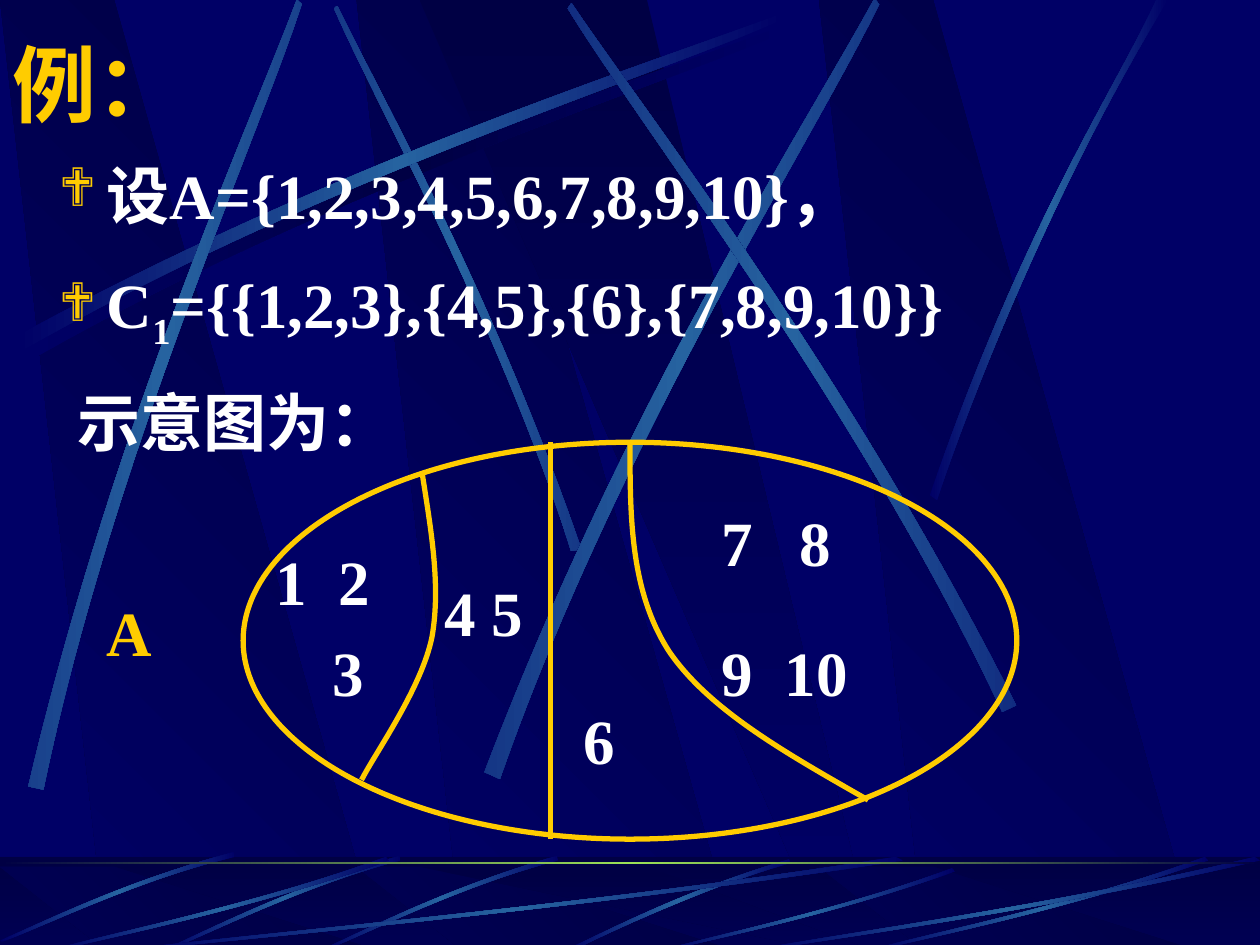
from pptx import Presentation
from pptx.dml.color import RGBColor
from pptx.enum.shapes import MSO_CONNECTOR, MSO_SHAPE
from pptx.enum.text import MSO_ANCHOR, PP_ALIGN
from pptx.oxml import parse_xml
from pptx.oxml.ns import nsdecls, qn
from pptx.util import Inches, Pt

COLORS = {"navy": "000066", "dark": "000044", "beam": "2663A0",
          "glow": "9CE157", "gold": "FFCC00", "white": "FFFFFF"}
LATIN, CHINESE, SYMBOLS = "Times New Roman", "Noto Sans CJK SC", "Wingdings"
PANEL = ("dark", "navy")
BEAM = ("navy", "beam", "navy")

# Outlines in a unit box; a streak is two Bezier curves of four points each
WIDE_PANEL = [(0.28, 1), (1, 1), (0.3, 0), (0, 0)]
THIN_PANEL = [(0, 0), (0.9, 1), (1, 1), (0.5, 0)]
STREAK = [(0, 0.96), (0.43, 0.43), (0.83, 0.15), (1, 0),
          (1, 0.02), (0.83, 0.19), (0.39, 0.5), (0.01, 1)]
SHORT_STREAK = [(0.99, 0), (0.49, 0.37), (0.16, 0.82), (0, 0.99),
                (0.03, 1), (0.23, 0.75), (0.68, 0.25), (1, 0.04)]
CUT_STREAK = [(0, 0.99), (0.4, 0.44), (0.79, 0.17), (0.95, 0),
              (1, 0), (0.52, 0.37), (0.16, 0.81), (0.03, 1)]


def color(name):
    return RGBColor.from_string(COLORS[name])


def outline(page, points, box, close=True, curves=()):
    """Draw a freeform; curves lists the first control point of each Bezier curve."""
    left, top, width, height = box
    spots = [(Inches(left + x * width), Inches(top + y * height)) for x, y in points]
    builder = page.shapes.build_freeform(*spots[0])
    builder.add_line_segments(spots[1:], close=close)
    shape = builder.convert_to_shape()
    shape.shadow.inherit = False
    segments = list(shape._element.iter(qn("a:lnTo")))
    for start in curves:
        bend = parse_xml(f'<a:cubicBezTo {nsdecls("a")}/>')
        segments[start - 1].addprevious(bend)
        for segment in segments[start - 1:start + 2]:
            bend.append(segment[0])
            segment.getparent().remove(segment)
    return shape


def paint(shape, names, angle=0, alpha=100):
    """Fill a shape with one colour or evenly spaced gradient stops, without a line."""
    shape.line.fill.background()
    shape.fill.background()
    clear = f'<a:alpha val="{alpha * 1000}"/>' if alpha < 100 else ""
    inks = [f'<a:srgbClr val="{COLORS[name]}">{clear}</a:srgbClr>' for name in names]
    if len(inks) == 1:
        xml = f'<a:solidFill {nsdecls("a")}>{inks[0]}</a:solidFill>'
    else:
        stops = "".join(f'<a:gs pos="{100000 * i // (len(inks) - 1)}">{ink}</a:gs>'
                        for i, ink in enumerate(inks))
        xml = (f'<a:gradFill {nsdecls("a")} rotWithShape="0"><a:gsLst>{stops}</a:gsLst>'
               f'<a:lin ang="{angle * 60000}" scaled="0"/></a:gradFill>')
    properties = shape._element.spPr
    properties.replace(properties.find(qn("a:noFill")), parse_xml(xml))


def band(page, box, names, angle=0, alpha=100):
    shape = page.shapes.add_shape(MSO_SHAPE.RECTANGLE, *map(Inches, box))
    shape.shadow.inherit = False
    paint(shape, names, angle, alpha)


def panels(page, top, height):
    for left in (2.83, 0, 6.5):
        paint(outline(page, WIDE_PANEL, (left, top, 3.02, height)), PANEL, 135)
    paint(outline(page, THIN_PANEL, (3.33, top, 3.61, height)), PANEL, 90)


def streak(page, box, rotation=0, flip_x=False, flip_y=False, form=STREAK, names=BEAM):
    points = [(1 - x if flip_x else x, 1 - y if flip_y else y) for x, y in form]
    shape = outline(page, points, box, curves=(1, 5))
    shape.rotation = rotation
    paint(shape, names, 180)


def sky(page):
    panels(page, 0, 7.52)
    streak(page, (0.2, 0.18, 6.08, 2.67), names=("navy", "dark", "navy"))
    streak(page, (1.41, 1.35, 4.42, 1.75), 45, flip_x=True)
    streak(page, (0.14, 0.1, 6.08, 2.67))
    streak(page, (-1.71, 1.82, 6.08, 2.67), 311.7)
    streak(page, (2.31, 1.6, 6.24, 3.01), 321.6)
    streak(page, (3.23, 1.52, 6.08, 2.67), 34.8, flip_x=True)
    streak(page, (7.38, 0, 1.89, 3.97), form=CUT_STREAK)


def floor(page, box):
    left, top, width, height = box
    band(page, box, PANEL, 90)
    panels(page, top + 0.08, height - 0.08)
    band(page, box, ("dark",), alpha=50)
    streak(page, (4.48, top + 0.02, 1.8, 0.73), form=SHORT_STREAK)
    for x, y, w, h in ((2.58, -0.04, 1.84, 0.83), (1.33, -0.04, 1.84, 0.83),
                       (0.04, -0.1, 1.8, 0.85)):
        streak(page, (x, top + y, w, h), 314.9, flip_x=True)
    for x, y, w in ((1, 0, 6.17), (0.42, 0, 2.67), (5.27, 0.09, 2.31),
                    (6.92, 0, 2.67), (6, 0, 4)):
        streak(page, (x, top + y, w, height - y), flip_x=True, flip_y=True)
    band(page, (left, top + 0.04, width, 0.02), ("dark", "glow", "dark"), 180)


def text_box(page, box, anchor=MSO_ANCHOR.TOP):
    frame = page.shapes.add_textbox(*map(Inches, box)).text_frame
    frame.word_wrap = True
    frame.vertical_anchor = anchor
    return frame


def write(frame, text, size=36, ink="white", latin=LATIN, align=PP_ALIGN.LEFT, line=1.2,
          before=0, margin=0, bullet=None, tab=None, subscript=None):
    """Add a paragraph; the subscript, if any, is the piece of text to lower."""
    first = frame.paragraphs[0]
    para = frame.add_paragraph() if first.runs else first
    para.alignment, para.line_spacing, para.space_before = align, line, Pt(before)
    properties = para._p.get_or_add_pPr()
    properties.set("marL", str(Inches(margin)))
    if bullet:
        properties.set("indent", str(-Inches(0.38)))
        for xml in (f'<a:buClr {nsdecls("a")}><a:srgbClr val="{COLORS["gold"]}"/></a:buClr>',
                    f'<a:buSzPct {nsdecls("a")} val="85000"/>',
                    f'<a:buFont {nsdecls("a")} typeface="{SYMBOLS}"/>',
                    f'<a:buChar {nsdecls("a")} char="{bullet}"/>'):
            properties.append(parse_xml(xml))
    if tab:
        properties.append(parse_xml(f'<a:tabLst {nsdecls("a")}>'
                                    f'<a:tab pos="{Inches(tab)}" algn="l"/></a:tabLst>'))
    head, low, rest = text.partition(subscript) if subscript else (text, "", "")
    for piece in filter(None, (head, low, rest)):
        span = para.add_run()
        span.text = piece
        font = span.font
        font.size, font.bold, font.name = Pt(size), True, latin
        font.color.rgb = color(ink)
        font._element.append(parse_xml(f'<a:ea {nsdecls("a")} typeface="{CHINESE}"/>'))
        if piece == low:
            font._element.set("baseline", "-25000")


def title(page, box):
    write(text_box(page, box, MSO_ANCHOR.MIDDLE), "例：", size=48, ink="gold",
          latin=CHINESE, line=1)


def statements(page, box):
    frame = text_box(page, box)
    write(frame, "设A={1,2,3,4,5,6,7,8,9,10}，", margin=0.5, bullet="❖")
    write(frame, "C1={{1,2,3},{4,5},{6},{7,8,9,10}}", margin=0.5, bullet="❖",
          before=9.5, subscript="1")
    write(frame, "示意图为：", margin=0.27, before=9.5)


def gold_line(shape):
    shape.line.color.rgb = color("gold")
    shape.line.width = Pt(3)


def partition_diagram(page, box):
    left, top, width, height = box
    oval = page.shapes.add_shape(MSO_SHAPE.OVAL, *map(Inches, box))
    oval.shadow.inherit = False
    oval.fill.background()
    gold_line(oval)

    # Borders between the classes
    borders = [
        [(1.42, 0.24), (1.49, 0.69), (1.57, 1.13), (1.5, 1.54),
         (1.42, 1.95), (1.04, 2.48), (0.94, 2.68)],
        [(3.07, 0), (3.07, 0.59), (3.07, 1.18), (3.38, 1.66),
         (3.7, 2.13), (4.33, 2.48), (4.96, 2.84)],
    ]
    for points in borders:
        border = outline(page, points, (left, top, 1, 1), close=False, curves=(1, 4))
        border.fill.background()
        gold_line(border)
    x = Inches(left + 2.44)
    divider = page.shapes.add_connector(MSO_CONNECTOR.STRAIGHT, x, Inches(top),
                                        x, Inches(top + height))
    gold_line(divider)
    divider._element.spPr.append(parse_xml(f'<a:effectLst {nsdecls("a")}/>'))

    # Members of each class, and the name of the set
    frame = text_box(page, (left + 0.16, top + 0.63, 1.34, 1.54))
    write(frame, "1\t2", tab=0.5)
    write(frame, "3", align=PP_ALIGN.CENTER)
    write(text_box(page, (left + 1.5, top + 0.87, 0.94, 1.54)), "4 5")
    write(text_box(page, (left + 2.6, top + 1.89, 1.26, 0.82)), "6")
    frame = text_box(page, (left + 3.7, top + 0.32, 2.76, 1.85))
    write(frame, "7\t8", tab=0.62)
    write(frame, "9\t10", tab=0.5, before=22.5)
    write(text_box(page, (left - 1.18, top + 1.03, 1.18, 0.82)), "A", ink="gold")


def main():
    deck = Presentation()
    deck.slide_width, deck.slide_height = Inches(10), Inches(7.5)
    page = deck.slides.add_slide(deck.slide_layouts[6])
    page.background.fill.solid()
    page.background.fill.fore_color.rgb = color("navy")
    sky(page)
    floor(page, (0, 6.8, 10, 0.75))
    title(page, (0, 0.21, 9.5, 0.9))
    statements(page, (0.25, 1.07, 9.5, 5.68))
    partition_diagram(page, (1.93, 3.51, 6.14, 3.15))
    deck.save("out.pptx")


if __name__ == "__main__":
    main()
